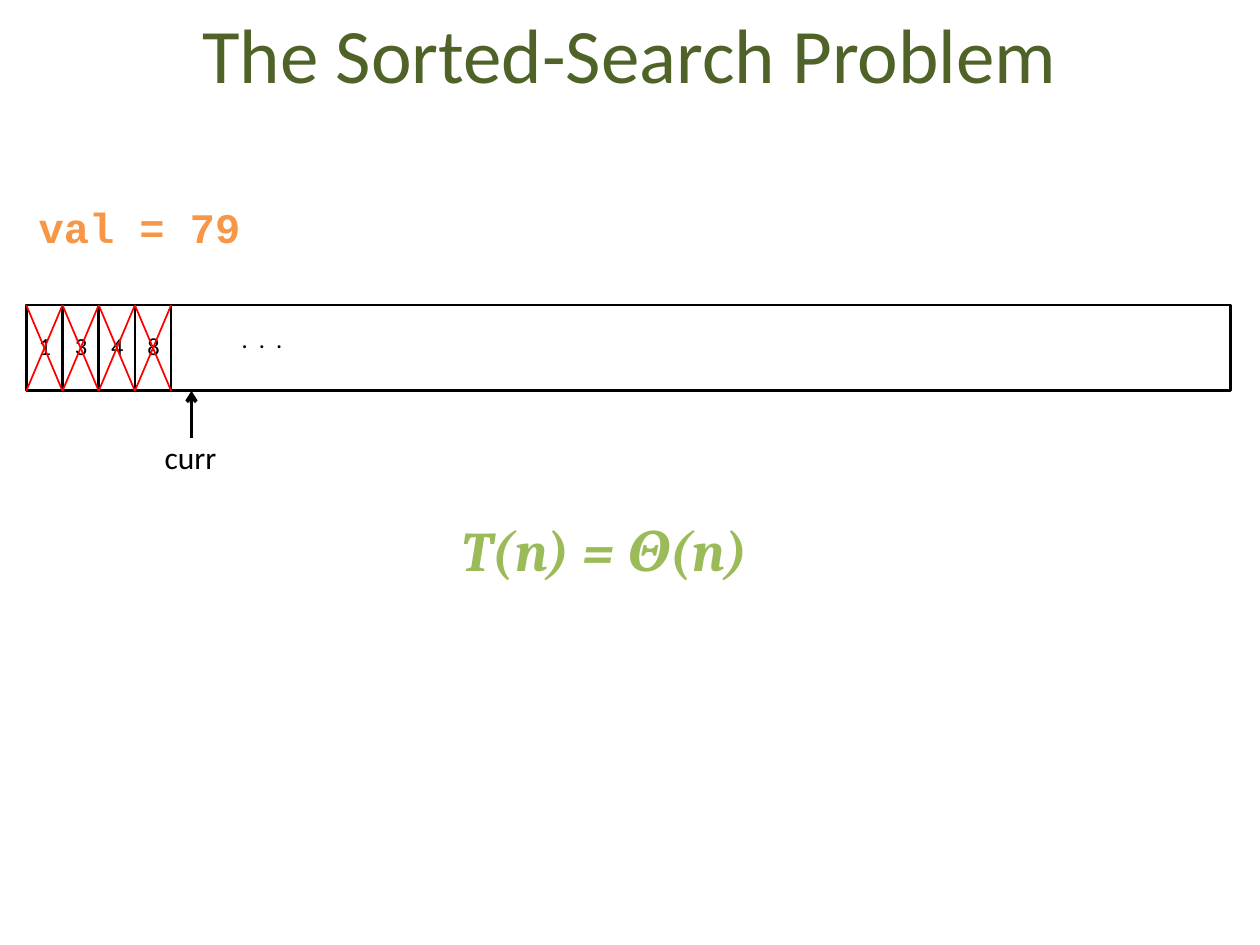
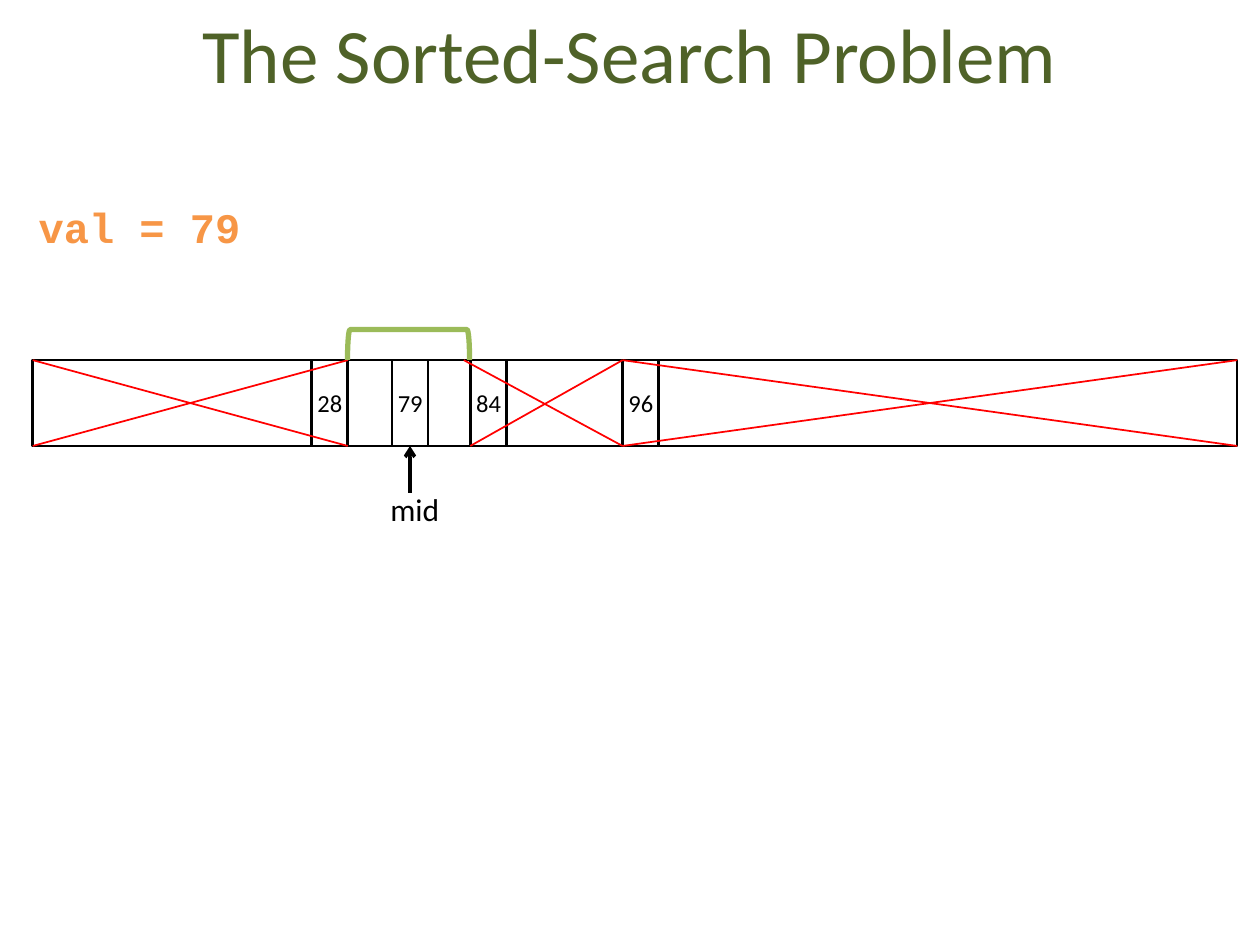
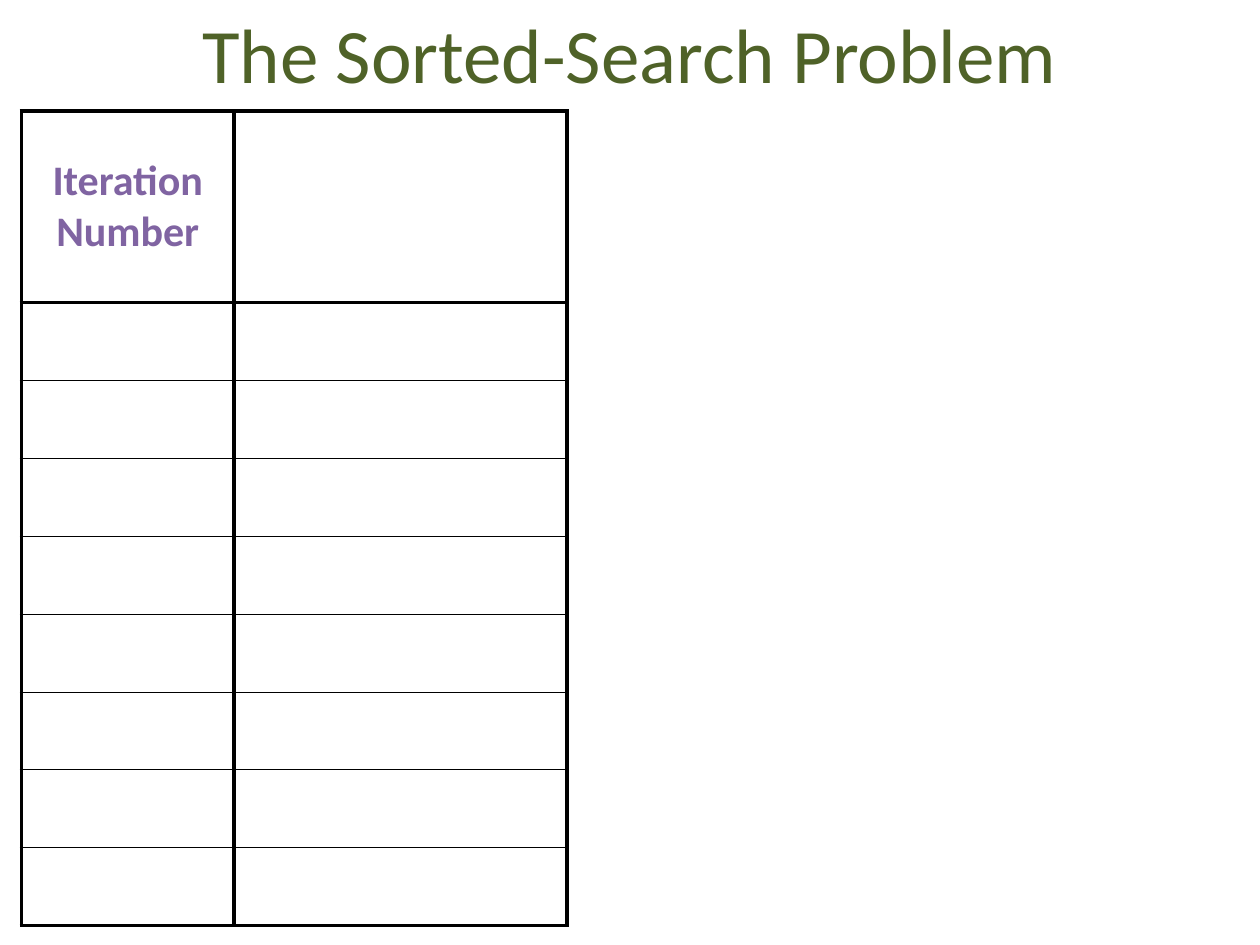
import dataclasses

import lxml.etree
import pptx
import pptx.dml.color
import pptx.enum.shapes
import pptx.enum.text
import pptx.oxml.ns
import pptx.util

Cm = pptx.util.Cm
Pt = pptx.util.Pt
RGB = pptx.dml.color.RGBColor.from_string
Shape = pptx.enum.shapes.MSO_SHAPE
Align = pptx.enum.text.PP_ALIGN
Anchor = pptx.enum.text.MSO_ANCHOR
qn = pptx.oxml.ns.qn


@dataclasses.dataclass(frozen=True)
class Theme:
    ink: str = "000000"
    title: str = "4F6228"
    value: str = "F79646"
    accent: str = "9BBB59"
    heading: str = "8064A2"
    strike: str = "FF0000"
    body_font: str = "Calibri"
    math_font: str = "Cambria"
    code_font: str = "Courier New"
    title_size: float = 44
    formula_size: float = 32
    large_size: float = 24
    label_size: float = 18
    cell_size: float = 14


BAR_WIDTH = 24.28
BAR_HEIGHT = 1.73
CELL_WIDTH = 0.73


class SlideBuilder:
    def __init__(self, deck, theme):
        self.deck = deck
        self.theme = theme
        self.page = None

    def new_page(self, title):
        self.page = self.deck.slides.add_slide(self.deck.slide_layouts[5])
        box = self.page.shapes.title
        place = {"left": 1.27, "top": -0.53, "width": 22.86, "height": 3.18}
        for name, value in place.items():
            setattr(box, name, Cm(value))
        box.text_frame.vertical_anchor = Anchor.MIDDLE
        self.fill_text(box.text_frame, title, self.theme.title_size,
                       self.theme.title, align=Align.CENTER)

    def fill_text(self, frame, words, size, color, font=None, align=Align.LEFT,
                  bold=False, italic=False):
        para = frame.paragraphs[0]
        para.alignment = align
        span = para.add_run()
        span.text = words
        formats = {"name": font or self.theme.body_font, "size": Pt(size),
                   "bold": bold, "italic": italic}
        for name, value in formats.items():
            setattr(span.font, name, value)
        span.font.color.rgb = RGB(color)

    def text(self, words, left, top, width, height, size, color=None,
             shapes=None, **style):
        box = (shapes or self.page.shapes).add_textbox(
            Cm(left), Cm(top), Cm(width), Cm(height))
        box.text_frame.word_wrap = True
        self.fill_text(box.text_frame, words, size, color or self.theme.ink,
                       **style)

    def outline(self, kind, left, top, width, height, color=None, weight=1.5):
        shape = self.page.shapes.add_shape(
            kind, Cm(left), Cm(top), Cm(width), Cm(height))
        shape.shadow.inherit = False
        shape.fill.background()
        shape.line.color.rgb = RGB(color or self.theme.ink)
        shape.line.width = Pt(weight)
        return shape

    def bar(self, left, top, width=BAR_WIDTH):
        return self.outline(Shape.RECTANGLE, left, top, width, BAR_HEIGHT)

    def line(self, start, end, color, weight, shapes=None):
        connector = (shapes or self.page.shapes).add_connector(
            pptx.enum.shapes.MSO_CONNECTOR.STRAIGHT,
            *(Cm(value) for value in (*start, *end)))
        connector.line.color.rgb = RGB(color)
        connector.line.width = Pt(weight)
        lxml.etree.SubElement(connector._element.spPr, qn("a:effectLst"))
        return connector

    def cross(self, left, right, top, left_bottom=None):
        bottom = top + BAR_HEIGHT
        if left_bottom is None:
            left_bottom = left
        self.line((left, top), (right, bottom), self.theme.strike, 1)
        self.line((right, top), (left_bottom, bottom), self.theme.strike, 1)

    def pointer(self, words, tip, label, target=None):
        group = self.page.shapes.add_group_shape()
        arrow = self.line((tip[0], tip[1] + 0.94), tip, self.theme.ink, 2,
                          group.shapes)
        stroke = arrow._element.spPr.find(qn("a:ln"))
        lxml.etree.SubElement(stroke, qn("a:tailEnd"), type="arrow")
        if target is not None:
            arrow.end_connect(target, 2)
        self.text(words, *label, 1.85, 1.02, self.theme.label_size,
                  shapes=group.shapes)

    def search_value(self):
        self.text("val = 79", 0.53, 3.94, 6.45, 1.27, self.theme.large_size,
                  self.theme.value, font=self.theme.code_font, bold=True)

    def border(self, cell, sides):
        properties = cell._tc.get_or_add_tcPr()
        for side, weight in sides.items():
            edge = lxml.etree.SubElement(properties, qn(f"a:ln{side}"),
                                         w=str(Pt(weight)))
            fill = lxml.etree.SubElement(edge, qn("a:solidFill"))
            lxml.etree.SubElement(fill, qn("a:srgbClr"), val=self.theme.ink)

    def table(self, left, top, widths, heights, heading):
        table = self.page.shapes.add_table(
            len(heights), len(widths), Cm(left), Cm(top),
            Cm(sum(widths)), Cm(sum(heights))).table
        table.first_row = table.horz_banding = False
        for column, width in zip(table.columns, widths):
            column.width = Cm(width)
        thick, thin = 2.25, 0.5
        last = len(heights) - 1
        for index, (row, height) in enumerate(zip(table.rows, heights)):
            row.height = Cm(height)
            sides = {"L": thick, "R": thick,
                     "T": thick if index <= 1 else thin,
                     "B": thick if index in (0, last) else thin}
            for cell in row.cells:
                self.border(cell, sides)
                cell.fill.background()
        corner = table.cell(0, 0)
        corner.vertical_anchor = Anchor.MIDDLE
        self.fill_text(corner.text_frame, heading, self.theme.large_size,
                       self.theme.heading, align=Align.CENTER, bold=True)


def linear_search(builder, title):
    theme = builder.theme
    left, top = 0.53, 6.15
    builder.new_page(title)
    builder.bar(left, top)
    numbers = "1348"
    edges = [left + index * CELL_WIDTH for index in range(len(numbers))]
    for number, edge in zip(numbers, edges):
        builder.bar(edge, top, CELL_WIDTH)
        builder.text(number, edge, 6.55, CELL_WIDTH, 0.86, theme.cell_size)
    for edge in edges:
        builder.cross(edge, edge + CELL_WIDTH, top)
    builder.text(".  .  .", 4.62, 6.4, 1.52, 0.86, theme.cell_size)
    builder.text("T(n) = Θ(n)", 8.61, 10.26, 7.16, 1.63, theme.formula_size,
                 theme.accent, font=theme.math_font, align=Align.CENTER,
                 bold=True, italic=True)
    builder.pointer("curr", (3.86, top + BAR_HEIGHT), (3.07, 8.71))
    builder.search_value()


def binary_search(builder, title):
    theme = builder.theme
    left, top = 0.66, 7.26
    builder.new_page(title)
    builder.bar(left, top)
    edges = {"28": 6.28, "79": 7.9, "84": 9.48, "96": 12.55}
    cells = {}
    for number, edge in edges.items():
        cells[number] = builder.bar(edge, top, CELL_WIDTH)
        builder.text(number, edge - 0.13, 7.7, 1.09, 0.86, theme.cell_size)
    builder.search_value()
    builder.cross(left, edges["28"] + CELL_WIDTH, top)
    builder.cross(9.35, edges["96"], top, left_bottom=edges["84"])
    builder.cross(edges["96"], left + BAR_WIDTH, top)
    bracket = builder.outline(Shape.LEFT_BRACKET, 7.93, 5.72, 0.61, 2.46,
                              theme.accent, 3)
    bracket.rotation = 90
    middle = edges["79"] + CELL_WIDTH / 2
    builder.pointer("mid", (middle, top + BAR_HEIGHT), (7.62, 9.75),
                    cells["79"])


def iteration_table(builder, title):
    builder.new_page(title)
    builder.table(0.43, 2.24, [4.29, 6.71], [3.86] + [1.57] * 8,
                  "Iteration Number")


def main():
    deck = pptx.Presentation()
    deck.slide_width, deck.slide_height = Cm(25.4), Cm(19.05)
    builder = SlideBuilder(deck, Theme())
    for build in (linear_search, binary_search, iteration_table):
        build(builder, "The Sorted-Search Problem")
    deck.save("out.pptx")


if __name__ == "__main__":
    main()
